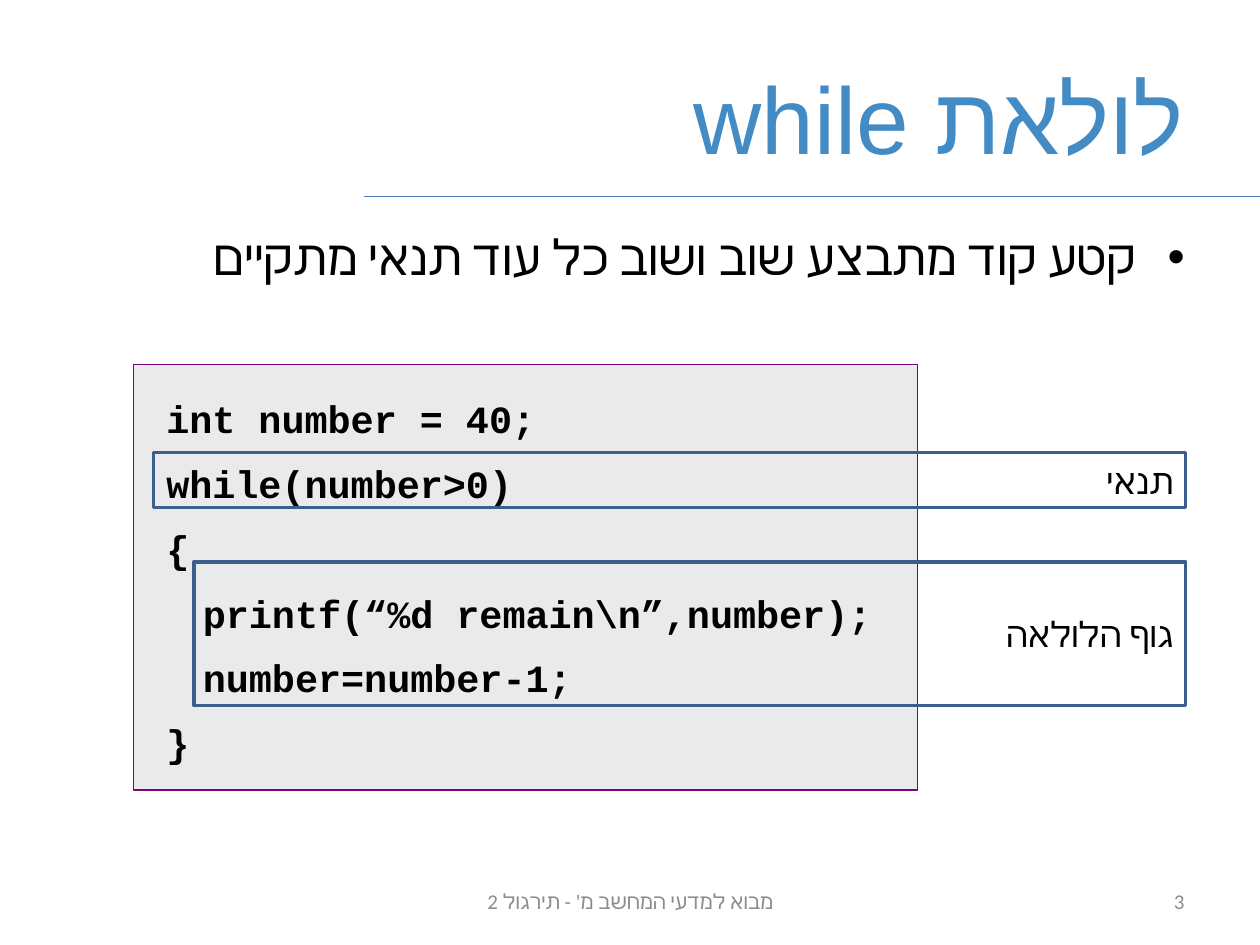
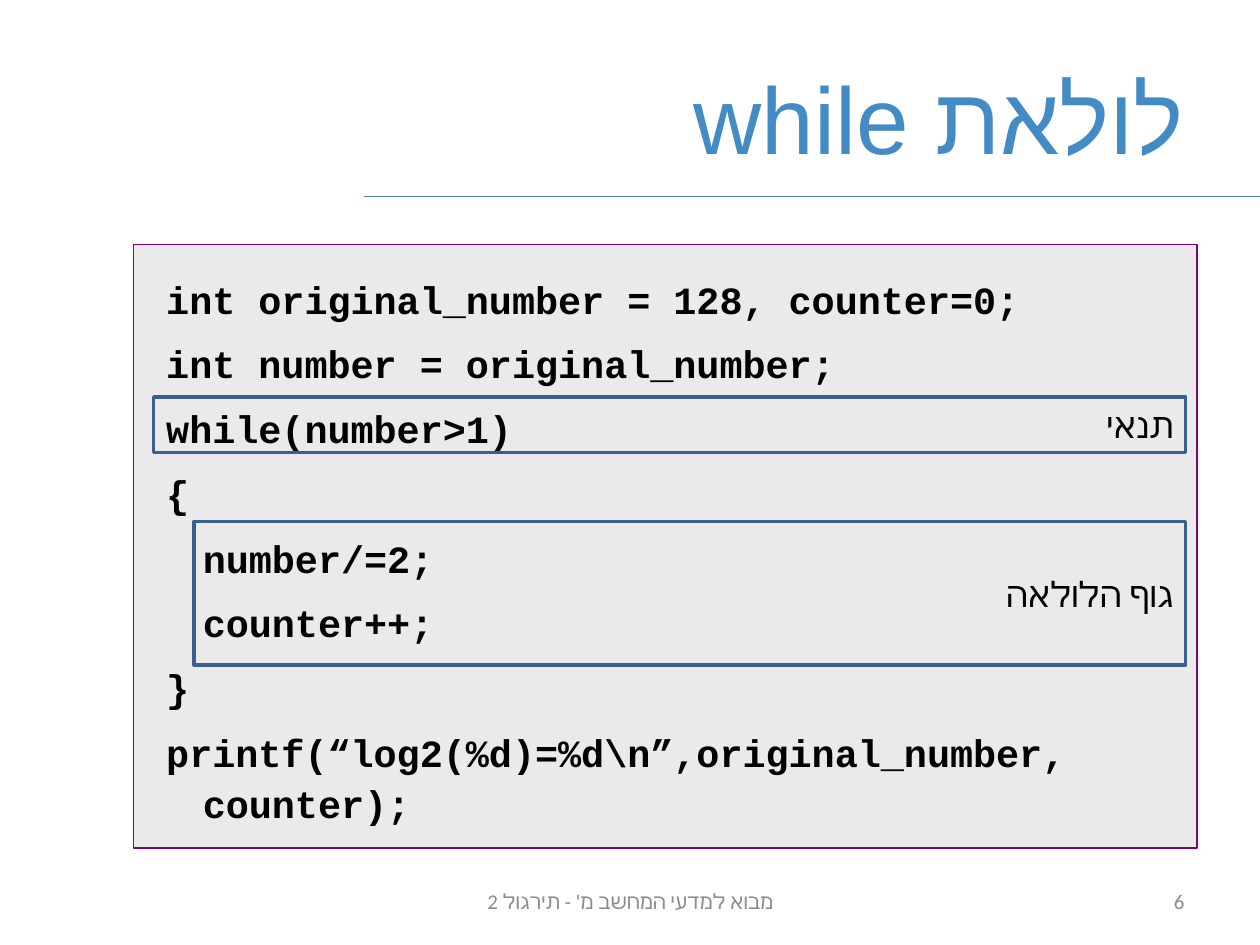
from pptx import Presentation
from pptx.dml.color import RGBColor
from pptx.enum.shapes import MSO_CONNECTOR, MSO_SHAPE
from pptx.enum.text import MSO_ANCHOR, PP_ALIGN
from pptx.oxml.ns import qn
from pptx.util import Inches, Pt
from lxml.etree import SubElement

BLUE = RGBColor(0x43, 0x8B, 0xC4)
RULE = RGBColor(0x4B, 0x7E, 0xBC)
FRAME = RGBColor(0x3A, 0x5F, 0x8C)
PURPLE = RGBColor(0x80, 0x00, 0x80)
PALE = RGBColor(0xEA, 0xEA, 0xEA)
GRAY = RGBColor(0x8C, 0x8C, 0x8C)
BLACK = RGBColor(0, 0, 0)

WIDE, HIGH = 10, 7.5
EDGE = 0.05 * WIDE
FOOT = 6.95
RIGHT = 9.41  # shared right side of the two frames


def write(shape, *lines, size, font="Calibri", color=BLACK, bold=False,
          align=PP_ALIGN.RIGHT, rtl=True, anchor=MSO_ANCHOR.MIDDLE,
          hang=0, before=0, spacing=None, bullet=None):
    """Fill a shape with one paragraph per line, all in one format."""
    frame = shape.text_frame
    frame.word_wrap = True
    frame.vertical_anchor = anchor
    for i, line in enumerate(lines):
        para = frame.paragraphs[0] if i == 0 else frame.add_paragraph()
        para.alignment = align
        para.space_before = Pt(before)
        para.line_spacing = spacing
        props = para._p.get_or_add_pPr()
        props.set("rtl", str(int(rtl)))
        if hang:
            props.set("marL", str(Inches(hang)))
            props.set("indent", str(-Inches(hang)))
        if bullet:
            SubElement(props, qn("a:buFont"), typeface="Arial")
            SubElement(props, qn("a:buChar"), char=bullet)
        run = para.add_run()
        run.text = line
        run.font.size = Pt(size)
        run.font.name = font
        run.font.bold = bold
        run.font.color.rgb = color
        SubElement(run._r.get_or_add_rPr(), qn("a:cs"), typeface=font)


def box(slide, left, top, width, height, line, weight, fill=None):
    shape = slide.shapes.add_shape(
        MSO_SHAPE.RECTANGLE, *map(Inches, (left, top, width, height)))
    shape.shadow.inherit = False
    if fill is None:
        shape.fill.background()
    else:
        shape.fill.solid()
        shape.fill.fore_color.rgb = fill
    shape.line.color.rgb = line
    shape.line.width = Pt(weight)
    return shape


pages = [
    dict(number="3", point="קטע קוד מתבצע שוב ושוב כל עוד תנאי מתקיים",
         place=(1.06, 2.89, 6.22, 3.38), test=3.59, body=4.46,
         code=["int number = 40;", "while(number>0)", "{",
               "\tprintf(“%d remain\\n”,number);",
               "\tnumber=number-1;", "}"]),
    dict(number="6", point=None,
         place=(1.06, 1.94, 8.44, 4.79), test=3.15, body=4.14,
         code=["int original_number = 128, counter=0;",
               "int number = original_number;", "while(number>1)", "{",
               "\tnumber/=2;", "\tcounter++;", "}",
               "printf(“log2(%d)=%d\\n”,original_number, counter);"]),
]

deck = Presentation()
deck.slide_width, deck.slide_height = Inches(WIDE), Inches(HIGH)

for page in pages:
    slide = deck.slides.add_slide(deck.slide_layouts[5])
    shapes = slide.shapes

    rule = shapes.add_connector(
        MSO_CONNECTOR.STRAIGHT, *map(Inches, (WIDE, 1.56, 2.89, 1.56)))
    rule.line.color.rgb = RULE
    rule.line.width = Pt(0.75)
    SubElement(rule._element.spPr, qn("a:effectLst"))

    title = shapes.title
    title.left, title.top = Inches(EDGE), Inches(0.3)
    title.width, title.height = Inches(WIDE - 2 * EDGE), Inches(1.25)
    write(title, "לולאת while", size=54, font="Arial", color=BLUE)

    if page["point"]:
        point = shapes.add_textbox(
            *map(Inches, (EDGE, 1.75, WIDE - 2 * EDGE, 4.95)))
        write(point, page["point"], size=28, anchor=MSO_ANCHOR.TOP,
              hang=0.38, before=5.6, bullet="•")

    code = box(slide, *page["place"], PURPLE, 0.75, PALE)
    text = code.text_frame
    text.margin_left = text.margin_right = Inches(0.26)
    text.margin_top = text.margin_bottom = Inches(0.21)
    write(code, *page["code"], size=22, font="Courier New", bold=True,
          align=PP_ALIGN.LEFT, rtl=False, anchor=MSO_ANCHOR.TOP,
          hang=0.29, before=8, spacing=1.1)

    for label, left, top, height in (
            ("גוף הלולאה", 1.54, page["body"], 1.14),
            ("תנאי", 1.22, page["test"], 0.44)):
        mark = box(slide, left, top, RIGHT - left, height, FRAME, 2)
        write(mark, label, size=20)

    for label, left, width, align in (
            ("מבוא למדעי המחשב מ' - תירגול 2", 3.42, 3.17, PP_ALIGN.CENTER),
            (page["number"], 7.17, 2.33, PP_ALIGN.RIGHT)):
        foot = shapes.add_textbox(*map(Inches, (left, FOOT, width, 0.4)))
        write(foot, label, size=12, color=GRAY, align=align)

deck.save("out.pptx")
